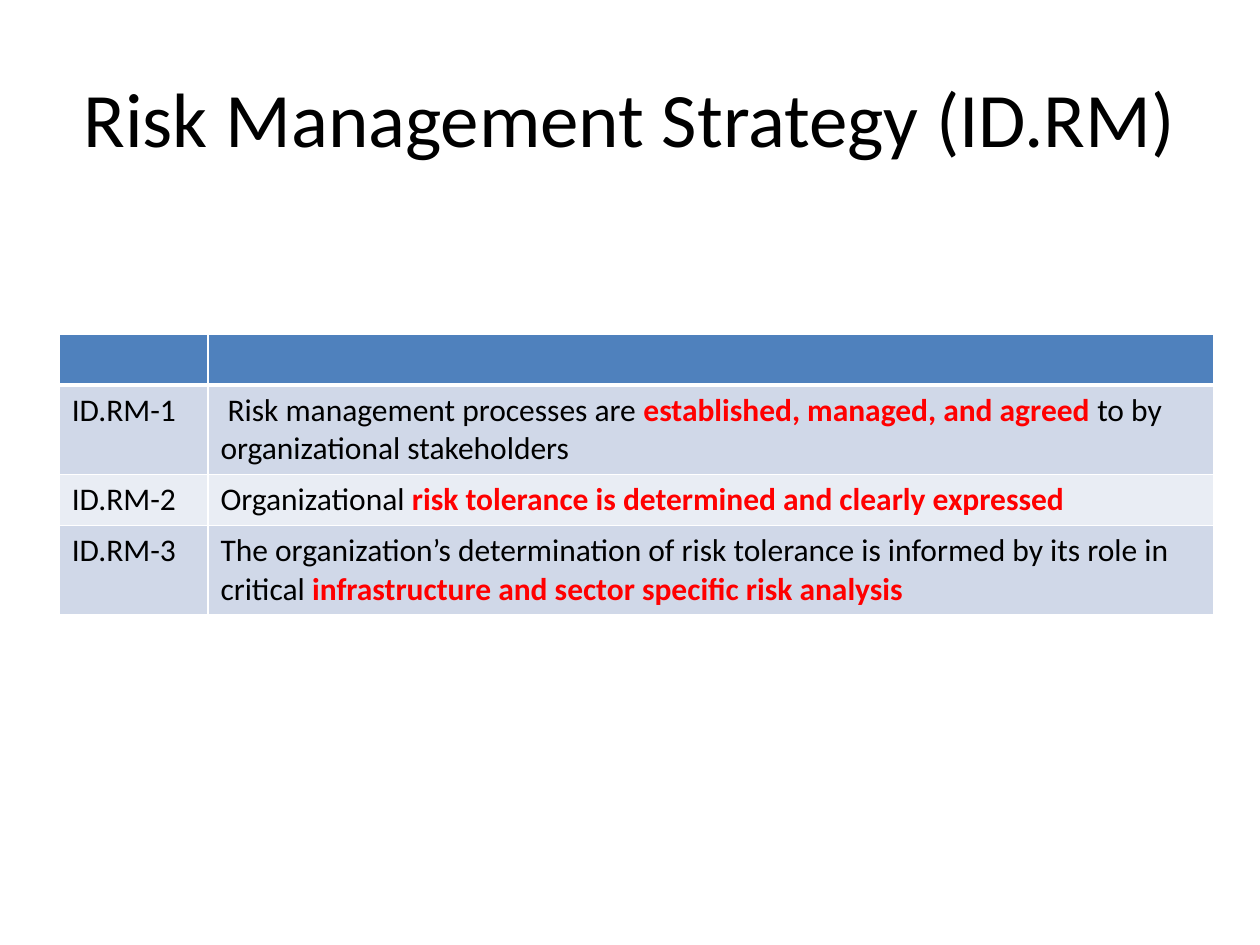
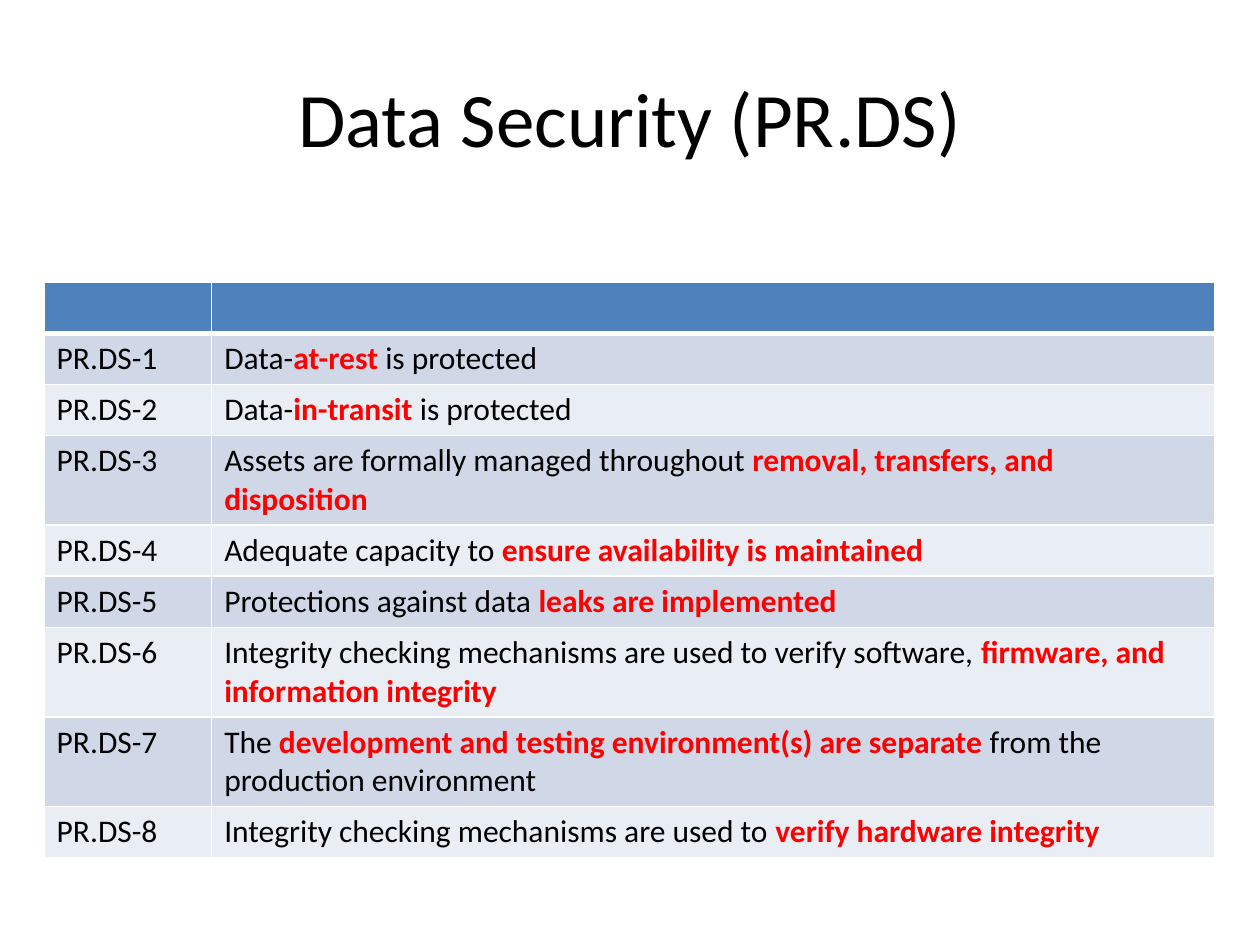
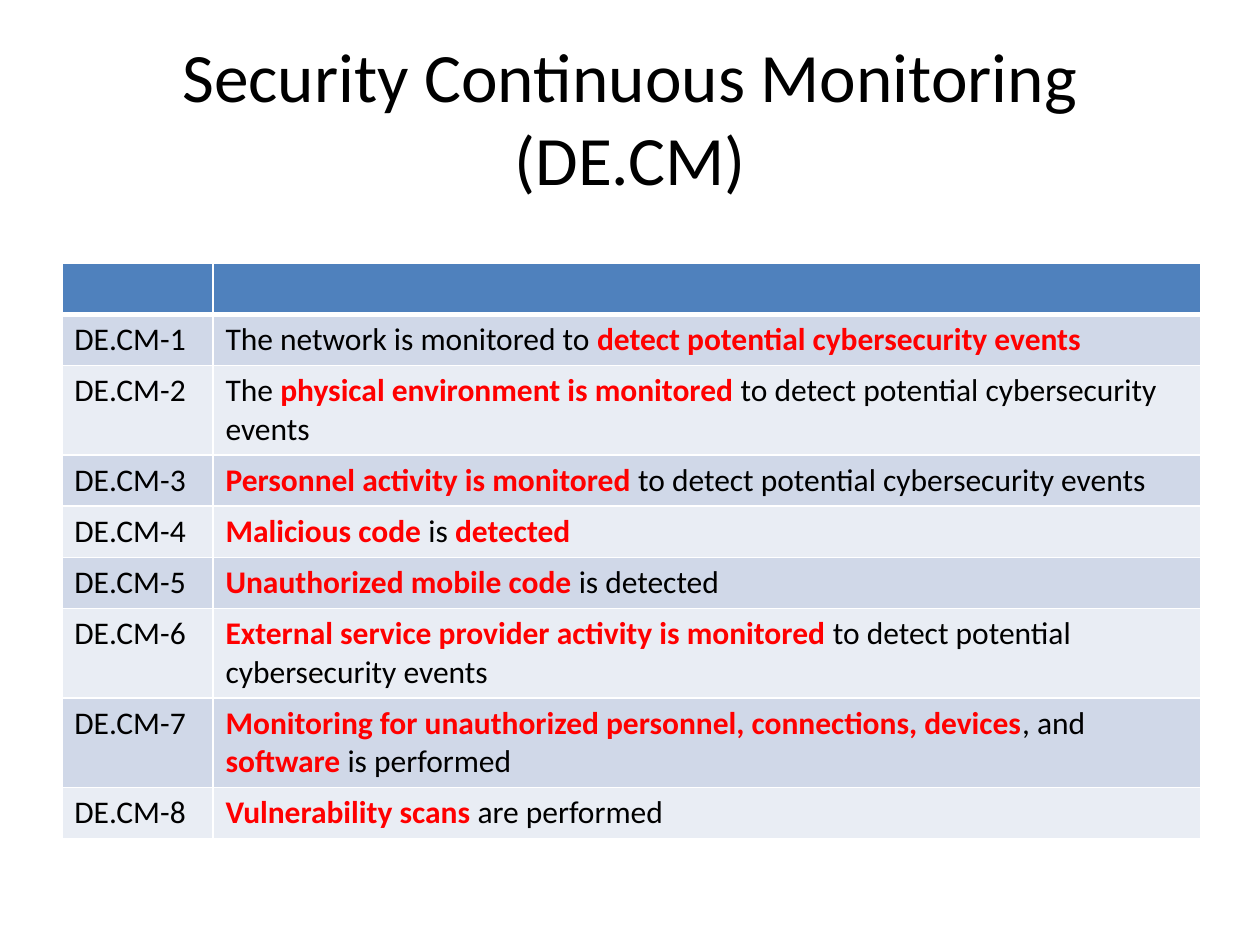
from dataclasses import dataclass

from lxml import etree
from pptx import Presentation
from pptx.dml.color import RGBColor
from pptx.enum.text import MSO_ANCHOR, MSO_AUTO_SIZE, PP_ALIGN
from pptx.oxml.ns import qn
from pptx.util import Emu, Inches, Pt

CENTER, LEFT = PP_ALIGN.CENTER, PP_ALIGN.LEFT
MIDDLE, TOP = MSO_ANCHOR.MIDDLE, MSO_ANCHOR.TOP
NO_AUTOFIT = MSO_AUTO_SIZE.NONE

FONT = "Calibri"
COLORS = {
    "text": "000000",
    "emphasis": "FF0000",
    "header": "4F81BD",
    "odd_row": "D0D8E8",
    "even_row": "E9EDF4",
    "rule": "FFFFFF",
}
SLIDE_WIDTH, SLIDE_HEIGHT = Inches(10), Inches(7.5)
TITLE_LEFT, TITLE_TOP, TITLE_WIDTH, TITLE_HEIGHT = 0.05, 0.04, 0.9, 1 / 6
TITLE_ONLY_LAYOUT = 5
BODY_SIZE = 18
LINE_HEIGHT, CELL_PADDING = Inches(0.305), Inches(0.1)
THIN_RULE, THICK_RULE = 1, 3


@dataclass(frozen=True)
class Control:
    """One requirement; asterisks enclose its emphasised words."""
    statement: str
    lines: int = 1


@dataclass(frozen=True)
class Category:
    """One slide; table lengths are in inches."""
    title: str
    code: str
    left: float
    top: float
    code_width: float
    statement_width: float
    controls: tuple[Control, ...]
    title_size: float = 44


CATEGORIES = (
    Category(
        "Risk Management Strategy (ID.RM)", "ID.RM", 0.47, 2.65, 1.18, 7.98,
        (
            Control(" Risk management processes are *established, managed, and agreed *"
                    "to by organizational stakeholders", 2),
            Control("Organizational *risk tolerance is determined and clearly expressed*"),
            Control("The organization’s determination of risk tolerance is informed by its "
                    "role in critical *infrastructure and sector specific risk analysis*", 2),
        ),
    ),
    Category(
        "Data Security (PR.DS)", "PR.DS", 0.35, 2.24, 1.33, 7.96,
        (
            Control("Data-*at-rest* is protected"),
            Control("Data-*in-transit* is protected"),
            Control("Assets are formally managed throughout "
                    "*removal, transfers, and disposition*", 2),
            Control("Adequate capacity to *ensure availability is maintained*"),
            Control("Protections against data *leaks are implemented*"),
            Control("Integrity checking mechanisms are used to verify software, "
                    "*firmware, and information integrity*", 2),
            Control("The *development and testing environment(s) are separate *"
                    "from the production environment", 2),
            Control("Integrity checking mechanisms are used to *verify hardware integrity*"),
        ),
    ),
    Category(
        "Security Continuous Monitoring (DE.CM)", "DE.CM", 0.49, 2.09, 1.2, 7.84,
        (
            Control("The network is monitored to *detect potential cybersecurity events*"),
            Control("The *physical environment is monitored* to detect potential "
                    "cybersecurity events", 2),
            Control("*Personnel activity is monitored* to detect potential "
                    "cybersecurity events"),
            Control("*Malicious code *is *detected*"),
            Control("*Unauthorized mobile code *is detected"),
            Control("*External service provider activity is monitored *to detect potential "
                    "cybersecurity events", 2),
            Control("*Monitoring for unauthorized personnel, connections, devices*, and "
                    "*software* is performed", 2),
            Control("*Vulnerability scans* are performed"),
        ),
        title_size=39.6,
    ),
)


def write_text(frame, text: str, *, size: float = BODY_SIZE, color: str = "text",
               emphasis: str = "emphasis", align=LEFT) -> None:
    """Fill the first paragraph, setting words between asterisks bold and coloured."""
    paragraph = frame.paragraphs[0]
    paragraph.alignment = align
    for index, words in enumerate(text.split("*")):
        if not words:
            continue
        emphasised = index % 2 == 1
        run = paragraph.add_run()
        run.text = words
        run.font.name = FONT
        run.font.size = Pt(size)
        run.font.bold = emphasised
        run.font.color.rgb = RGBColor.from_string(COLORS[emphasis if emphasised else color])


def format_cell(cell, *, fill: str, top_rule: float, bottom_rule: float) -> None:
    properties = cell._tc.get_or_add_tcPr()
    rules = {"lnL": THIN_RULE, "lnR": THIN_RULE, "lnT": top_rule, "lnB": bottom_rule}
    for side, points in rules.items():
        rule = etree.SubElement(properties, qn(f"a:{side}"), w=str(Pt(points)))
        solid = etree.SubElement(rule, qn("a:solidFill"))
        etree.SubElement(solid, qn("a:srgbClr"), val=COLORS["rule"])
    cell.fill.solid()
    cell.fill.fore_color.rgb = RGBColor.from_string(COLORS[fill])
    cell.vertical_anchor = TOP


def row_height(lines: int) -> Emu:
    return Emu(CELL_PADDING + lines * LINE_HEIGHT)


def add_title(slide, category: Category) -> None:
    title = slide.shapes.title
    title.left, title.width = (Emu(round(SLIDE_WIDTH * share))
                               for share in (TITLE_LEFT, TITLE_WIDTH))
    title.top, title.height = (Emu(round(SLIDE_HEIGHT * share))
                               for share in (TITLE_TOP, TITLE_HEIGHT))
    frame = title.text_frame
    frame.word_wrap = True
    frame.auto_size = NO_AUTOFIT
    frame.vertical_anchor = MIDDLE
    write_text(frame, category.title, size=category.title_size, align=CENTER)


def add_control_table(slide, category: Category) -> None:
    heights = [row_height(1)] + [row_height(control.lines) for control in category.controls]
    widths = [Inches(category.code_width), Inches(category.statement_width)]
    table = slide.shapes.add_table(
        len(heights), len(widths), Inches(category.left), Inches(category.top),
        sum(widths), sum(heights)).table
    table.horz_banding = False
    for column, width in zip(table.columns, widths):
        column.width = width
    for number, (row, height) in enumerate(zip(table.rows, heights)):
        row.height = height
        fill = "header" if number == 0 else "odd_row" if number % 2 else "even_row"
        for cell in row.cells:
            format_cell(cell, fill=fill,
                        top_rule=THICK_RULE if number == 1 else THIN_RULE,
                        bottom_rule=THICK_RULE if number == 0 else THIN_RULE)
    for number, control in enumerate(category.controls, start=1):
        write_text(table.cell(number, 0).text_frame, f"{category.code}-{number}")
        write_text(table.cell(number, 1).text_frame, control.statement)


def main() -> None:
    deck = Presentation()
    deck.slide_width, deck.slide_height = SLIDE_WIDTH, SLIDE_HEIGHT
    for category in CATEGORIES:
        slide = deck.slides.add_slide(deck.slide_layouts[TITLE_ONLY_LAYOUT])
        add_title(slide, category)
        add_control_table(slide, category)
    deck.save("out.pptx")


if __name__ == "__main__":
    main()
